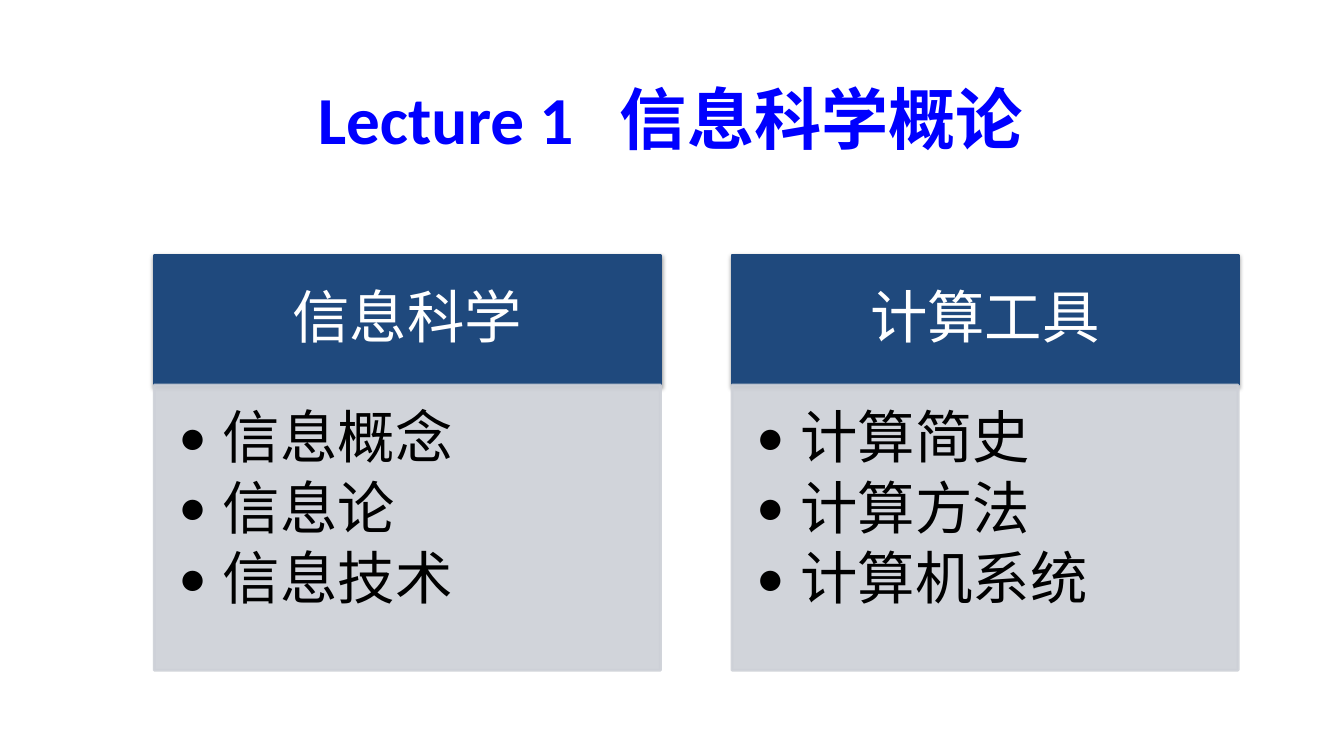
from dataclasses import dataclass

from lxml import etree
from pptx import Presentation
from pptx import util as u
from pptx.dml import color
from pptx.enum import shapes, text
from pptx.oxml import ns

NAVY, GREY, BLUE = "1F497D", "CDD0D7", "0000FF"
WHITE, BLACK = "FFFFFF", "000000"
FONT = "Calibri"
LEFT, TOP, WIDTH, PITCH = 1.53, 2.53, 5.02, 5.73
HEADER_HEIGHT, BODY_HEIGHT = 1.29, 2.83


@dataclass
class Topic:
    heading: str
    items: list[str]


TOPICS = [
    Topic("信息科学", ["信息概念", "信息论", "信息技术"]),
    Topic("计算工具", ["计算简史", "计算方法", "计算机系统"]),
]


def paint(target, hex_color: str) -> None:
    target.rgb = color.RGBColor.from_string(hex_color)


def child(parent, tag: str, **attributes: str):
    return etree.SubElement(parent, ns.qn(tag), attributes)


def add_span(para, words: str, size: float, hex_color: str, bold: bool = False):
    span = para.add_run()
    span.text = words
    span.font.name = FONT
    span.font.size = u.Pt(size)
    span.font.bold = bold
    paint(span.font.color, hex_color)
    return span


def add_box(page, left: float, top: float, height: float, fill: str, insets: tuple):
    box = page.shapes.add_shape(
        shapes.MSO_SHAPE.RECTANGLE,
        u.Inches(left), u.Inches(top), u.Inches(WIDTH), u.Inches(height),
    )
    box.shadow.inherit = False
    box.fill.solid()
    paint(box.fill.fore_color, fill)
    box.line.width = u.Pt(2)
    paint(box.line.color, fill)
    frame = box.text_frame
    frame.word_wrap = True
    frame.margin_left, frame.margin_top, frame.margin_right, frame.margin_bottom = (
        u.Inches(inset) for inset in insets
    )
    return box


def add_header(page, left: float, heading: str) -> None:
    box = add_box(page, left, TOP, HEADER_HEIGHT, NAVY, (0.32, 0.18, 0.32, 0.18))
    effects = box._element.spPr.find(ns.qn("a:effectLst"))
    shadow = child(effects, "a:outerShdw", blurRad=str(u.Pt(3.1)),
                   dist=str(u.Pt(1.6)), dir="5400000", rotWithShape="0")
    child(child(shadow, "a:srgbClr", val=BLACK), "a:alpha", val="38000")
    box.text_frame.vertical_anchor = text.MSO_ANCHOR.MIDDLE
    para = box.text_frame.paragraphs[0]
    para.alignment = text.PP_ALIGN.CENTER
    para.line_spacing = 0.9
    add_span(para, heading, 41, WHITE)


def add_body(page, left: float, items: list[str]) -> None:
    box = add_box(page, left, TOP + HEADER_HEIGHT, BODY_HEIGHT, GREY,
                  (0.24, 0.24, 0.32, 0.36))
    for tint in box._element.spPr.iter(ns.qn("a:srgbClr")):
        child(tint, "a:alpha", val="90000")
    frame = box.text_frame
    frame.vertical_anchor = text.MSO_ANCHOR.TOP
    for index, item in enumerate(items):
        para = frame.add_paragraph() if index else frame.paragraphs[0]
        settings = para._p.get_or_add_pPr()
        settings.set("marL", str(u.Inches(0.44)))
        settings.set("indent", str(u.Inches(-0.44)))
        child(settings, "a:buFont", typeface=FONT)
        child(settings, "a:buChar", char="•")
        para.alignment = text.PP_ALIGN.LEFT
        para.line_spacing = 0.9
        para.space_after = u.Pt(6)
        add_span(para, item, 41, BLACK)


def add_title(page) -> None:
    title = page.shapes.title
    title.left, title.top = u.Inches(0.56), u.Inches(0.69)
    title.width, title.height = u.Inches(12.18), u.Inches(0.95)
    title.text_frame.vertical_anchor = text.MSO_ANCHOR.MIDDLE
    para = title.text_frame.paragraphs[0]
    para.alignment = text.PP_ALIGN.CENTER
    add_span(para, "Lecture 1", 48, BLUE, True)
    gap = add_span(para, " ", 48, BLUE, True)
    gap.font._element.set("spc", "2200")
    add_span(para, "信息科学概论", 48, BLUE, True)


def main() -> None:
    deck = Presentation()
    deck.slide_width, deck.slide_height = u.Inches(13.33), u.Inches(7.5)
    page = deck.slides.add_slide(deck.slide_layouts[5])
    for index, topic in enumerate(TOPICS):
        left = LEFT + index * PITCH
        add_header(page, left, topic.heading)
        add_body(page, left, topic.items)
    add_title(page)
    deck.save("out.pptx")


if __name__ == "__main__":
    main()
